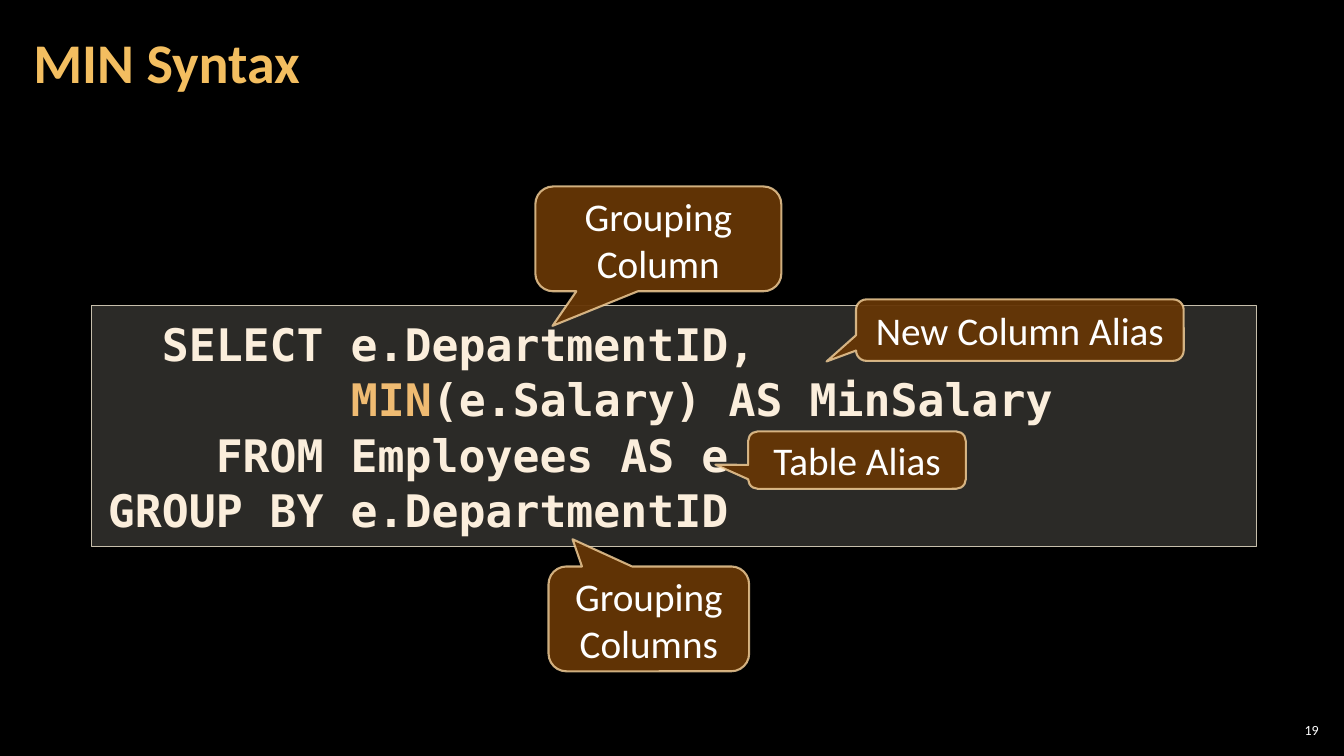
from lxml import etree
from pptx import Presentation, util as u
from pptx.dml.color import RGBColor
from pptx.enum import shapes, text
from pptx.oxml import ns

COLORS = {
    "background": "000000", "title": "F3BE60", "white": "FFFFFF",
    "code": "FBEEDC", "keyword": "EFBB72", "panel": "D9D5C7",
    "panel_line": "C7BFAC", "callout": "663606", "callout_line": "F8D49E",
}
TITLE = {"size": u.Pt(40), "name": "Calibri", "bold": True}
CODE = {"size": u.Pt(32), "name": "DejaVu Sans Mono", "bold": True}
LABEL = {"size": u.Pt(28), "name": "Calibri", "bold": False}
NUMBER = {"size": u.Pt(10), "name": "Calibri", "bold": False}
KEYWORD_WIDTH = len("GROUP BY")
CALLOUTS = [
    ("Grouping Column", (5.31, 1.85, 2.44, 1.04), (-0.43, 0.83)),
    ("Grouping Columns", (5.44, 5.62, 1.99, 1.04), (-0.38, -0.76)),
    ("Table Alias", (7.42, 4.28, 2.16, 0.57), (-0.65, 0.08)),
    ("New Column Alias", (8.49, 2.97, 3.25, 0.61), (-0.59, 0.51)),
]


def rgb(name):
    return RGBColor.from_string(COLORS[name])


def inches(box):
    return [u.Inches(value) for value in box]


def add_span(para, words, style, color):
    span = para.add_run()
    span.text = words
    for key, value in style.items():
        setattr(span.font, key, value)
    span.font.color.rgb = rgb(color)


def format_frame(frame, side, edge, anchor=text.MSO_ANCHOR.MIDDLE):
    values = {
        "word_wrap": True, "auto_size": text.MSO_AUTO_SIZE.NONE,
        "vertical_anchor": anchor,
        "margin_left": u.Inches(side), "margin_right": u.Inches(side),
        "margin_top": u.Inches(edge), "margin_bottom": u.Inches(edge),
    }
    for key, value in values.items():
        setattr(frame, key, value)


def set_opacity(paint, percent):
    color = paint.find(".//" + ns.qn("a:srgbClr"))
    etree.SubElement(color, ns.qn("a:alpha"), val=str(percent * 1000))


def add_panel(page, kind, box, fill, opacity, line, width):
    shape = page.shapes.add_shape(kind, *inches(box))
    shape.shadow.inherit = False
    shape.fill.solid()
    shape.fill.fore_color.rgb = rgb(fill)
    set_opacity(shape.element.spPr.find(ns.qn("a:solidFill")), opacity)
    shape.line.color.rgb = rgb(line)
    shape.line.width = u.Pt(width)
    return shape


def add_title(page, words, box):
    title = page.shapes.title
    title.left, title.top, title.width, title.height = inches(box)
    format_frame(title.text_frame, 0.12, 0.04)
    para = title.text_frame.paragraphs[0]
    para.alignment = text.PP_ALIGN.LEFT
    para.line_spacing = 0.9
    add_span(para, words, TITLE, "title")


def add_query(page, box):
    panel = add_panel(page, shapes.MSO_SHAPE.RECTANGLE, box,
                      "panel", 20, "panel_line", 1)
    frame = panel.text_frame
    format_frame(frame, 0.16, 0.12)
    select = frame.paragraphs[0]
    add_span(select, "SELECT".rjust(KEYWORD_WIDTH) + " e.DepartmentID,", CODE, "code")
    select.add_line_break()
    add_span(select, " " * (KEYWORD_WIDTH + 1), CODE, "code")
    add_span(select, "MIN", CODE, "keyword")
    add_span(select, "(e.Salary) AS MinSalary", CODE, "code")
    for keyword, rest in [("FROM", "Employees AS e"), ("GROUP BY", "e.DepartmentID")]:
        add_span(frame.add_paragraph(), f"{keyword.rjust(KEYWORD_WIDTH)} {rest}",
                 CODE, "code")
    for para in frame.paragraphs:
        para.alignment = text.PP_ALIGN.LEFT
        para.line_spacing = 1.03


def add_callout(page, words, box, tip):
    callout = add_panel(page, shapes.MSO_SHAPE.ROUNDED_RECTANGULAR_CALLOUT, box,
                        "callout", 95, "callout_line", 1.5)
    set_opacity(callout.element.spPr.find(ns.qn("a:ln")), 80)
    for index, value in enumerate((*tip, 0.17)):
        callout.adjustments[index] = value
    format_frame(callout.text_frame, 0.1, 0.05)
    para = callout.text_frame.paragraphs[0]
    para.alignment = text.PP_ALIGN.CENTER
    add_span(para, words, LABEL, "white")


def add_page_number(page, words, box):
    frame = page.shapes.add_textbox(*inches(box)).text_frame
    format_frame(frame, 0.04, 0.04)
    para = frame.paragraphs[0]
    para.alignment = text.PP_ALIGN.RIGHT
    add_span(para, words, NUMBER, "white")


def build_syntax_page(deck):
    page = deck.slides.add_slide(deck.slide_layouts.get_by_name("Title Only"))
    page.background.fill.solid()
    page.background.fill.fore_color.rgb = rgb("background")
    add_title(page, "MIN Syntax", (0.21, 0.04, 10.47, 1.21))
    add_query(page, (0.91, 3.03, 11.55, 2.39))
    for words, box, tip in CALLOUTS:
        add_callout(page, words, box, tip)
    add_page_number(page, "19", (12.65, 7.14, 0.47, 0.21))


def main():
    deck = Presentation()
    deck.slide_width, deck.slide_height = u.Inches(13.33), u.Inches(7.5)
    build_syntax_page(deck)
    deck.save("out.pptx")


if __name__ == "__main__":
    main()
